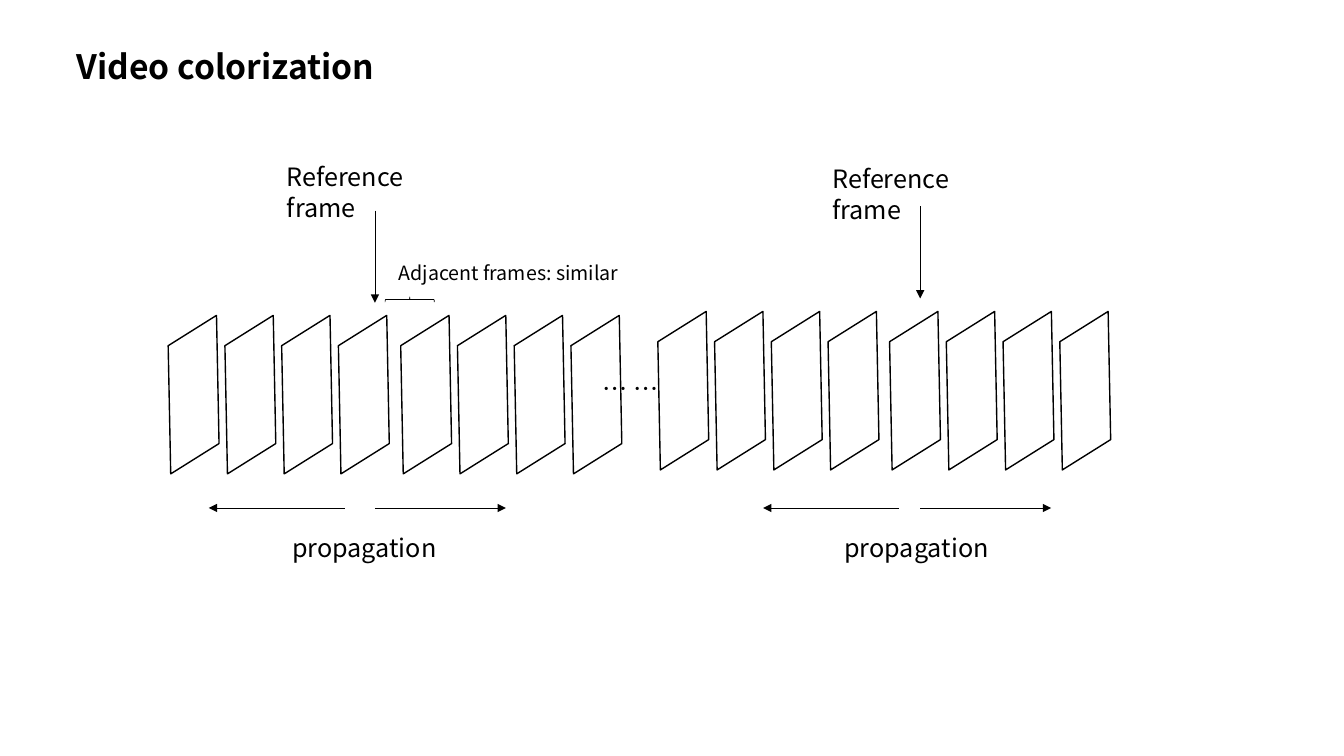
from lxml import etree
from pptx import Presentation
from pptx.dml.color import RGBColor
from pptx.enum.shapes import MSO_CONNECTOR, MSO_SHAPE
from pptx.oxml.ns import qn
from pptx.util import Cm, Pt

STRAIGHT = MSO_CONNECTOR.STRAIGHT
PARALLELOGRAM = MSO_SHAPE.PARALLELOGRAM
LEFT_BRACE = MSO_SHAPE.LEFT_BRACE

COLORS = {"ink": "000000", "paper": "FFFFFF"}
FONT = "Noto Sans CJK SC"
LINE_SPACING = 1.22
FRAMES_PER_ROW = 4
FRAME_STEP = 1.43
PROPAGATION_Y = 12.8


def color(name):
    return RGBColor.from_string(COLORS[name])


def add_text(slide, text, left, top, width, height=1.02, size=18, bold=False):
    box = slide.shapes.add_textbox(Cm(left), Cm(top), Cm(width), Cm(height))
    box.text_frame.word_wrap = True
    paragraph = box.text_frame.paragraphs[0]
    paragraph.line_spacing = Pt(size * LINE_SPACING)
    run = paragraph.add_run()
    run.text = text
    run.font.name = FONT
    run.font.size = Pt(size)
    run.font.bold = bold
    run.font.color.rgb = color("ink")
    east_asian = etree.SubElement(run.font._element, qn("a:ea"))
    east_asian.set("typeface", FONT)


def add_outline(slide, kind, left, top, width, height, rotation, weight):
    shape = slide.shapes.add_shape(kind, Cm(left), Cm(top), Cm(width), Cm(height))
    shape.shadow.inherit = False
    shape.rotation = rotation
    shape.fill.background()
    shape.line.color.rgb = color("ink")
    shape.line.width = Pt(weight)
    return shape


def add_frame_row(slide, left, top):
    for index in range(FRAMES_PER_ROW):
        frame = add_outline(slide, PARALLELOGRAM, left + index * FRAME_STEP, top,
                            3.1, 2.77, 327.9, 1)
        frame.adjustments[0] = 0.6
        frame.fill.solid()
        frame.fill.fore_color.rgb = color("paper")


def add_arrow(slide, start_x, start_y, end_x, end_y):
    arrow = slide.shapes.add_connector(
        STRAIGHT, Cm(start_x), Cm(start_y), Cm(end_x), Cm(end_y))
    arrow.line.color.rgb = color("ink")
    arrow.line.width = Pt(0.5)
    head = etree.SubElement(arrow.line._get_or_add_ln(), qn("a:tailEnd"))
    head.set("type", "triangle")
    etree.SubElement(arrow._element.spPr, qn("a:effectLst"))


def add_sequence(slide, row_lefts, row_top, reference_x, arrow_top, label_left,
                 label_top, backward_x, propagation_left):
    for left in row_lefts:
        add_frame_row(slide, left, row_top)
    add_arrow(slide, reference_x, arrow_top, reference_x, arrow_top + 2.32)
    add_text(slide, "Reference frame", label_left, label_top, 5.21)
    add_arrow(slide, backward_x, PROPAGATION_Y, backward_x - 3.43, PROPAGATION_Y)
    add_arrow(slide, reference_x, PROPAGATION_Y, reference_x + 3.3, PROPAGATION_Y)
    add_text(slide, "propagation", propagation_left, 13.28, 5.64)


def main():
    presentation = Presentation()
    presentation.slide_width = Cm(33.87)
    presentation.slide_height = Cm(19.05)
    slide = presentation.slides.add_slide(presentation.slide_layouts[6])

    add_text(slide, "Video colorization", 1.68, 1.02, 19.76, 1.27, size=24, bold=True)
    add_sequence(slide, row_lefts=(9.19, 3.33), row_top=8.56, reference_x=9.45,
                 arrow_top=5.31, label_left=6.98, label_top=3.94,
                 backward_x=8.69, propagation_left=7.11)
    add_sequence(slide, row_lefts=(15.67, 21.51), row_top=8.46, reference_x=23.19,
                 arrow_top=5.2, label_left=20.73, label_top=3.99,
                 backward_x=22.66, propagation_left=21.03)
    add_text(slide, "… …", 14.94, 9.27, 2.64)
    add_outline(slide, LEFT_BRACE, 10.26, 6.93, 0.13, 1.24, 90, 0.5)
    add_text(slide, "Adjacent frames: similar", 9.8, 6.43, 6.45, 0.86, size=14)

    presentation.save("out.pptx")


if __name__ == "__main__":
    main()
